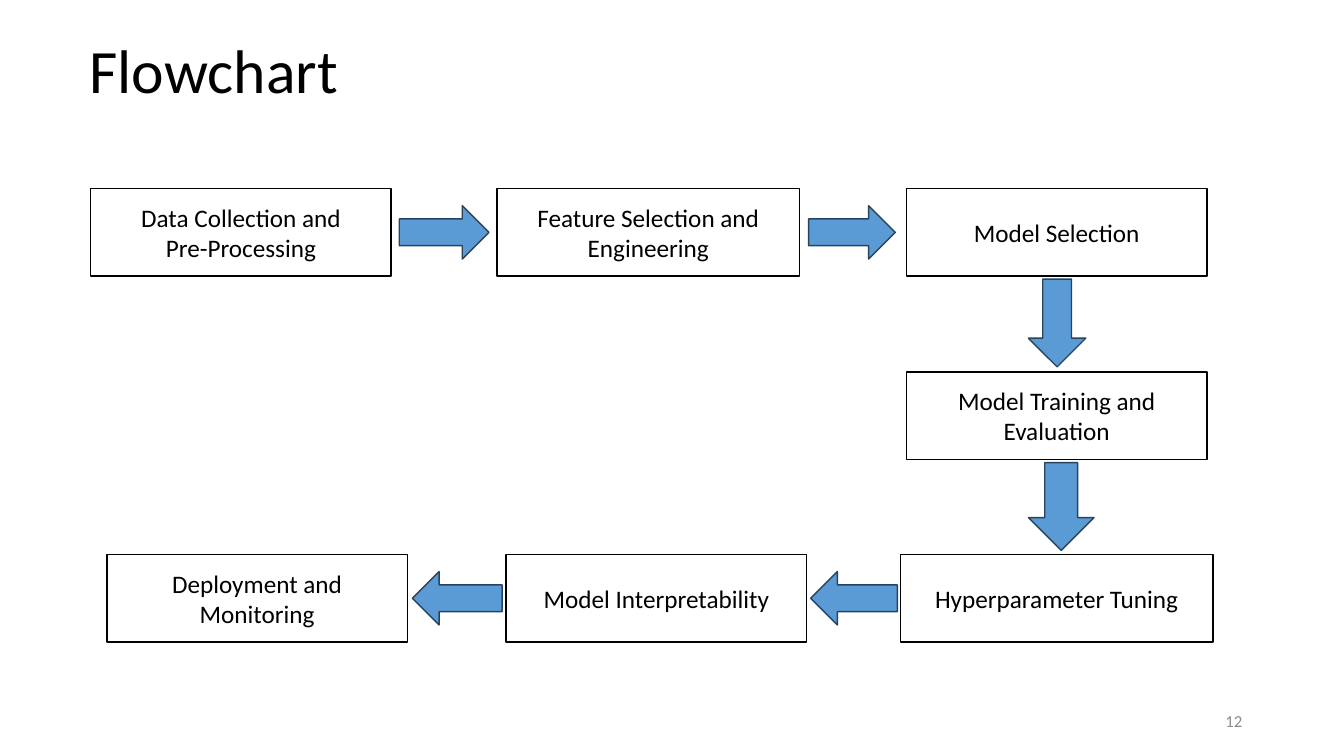
"""Build a slide with a flowchart of a machine learning workflow."""
from pptx import Presentation
from pptx.dml.color import RGBColor
from pptx.enum.shapes import MSO_SHAPE
from pptx.enum.text import MSO_ANCHOR, PP_ALIGN
from pptx.util import Inches, Pt

RECTANGLE = MSO_SHAPE.RECTANGLE
RIGHT_ARROW = MSO_SHAPE.RIGHT_ARROW
DOWN_ARROW = MSO_SHAPE.DOWN_ARROW
MIDDLE = MSO_ANCHOR.MIDDLE
LEFT, CENTER, RIGHT = PP_ALIGN.LEFT, PP_ALIGN.CENTER, PP_ALIGN.RIGHT

BLACK = RGBColor(0x00, 0x00, 0x00)
WHITE = RGBColor(0xFF, 0xFF, 0xFF)
GRAY = RGBColor(0x8C, 0x8C, 0x8C)
BLUE = RGBColor(0x5B, 0x9B, 0xD5)
DARK_BLUE = RGBColor(0x28, 0x44, 0x5D)

FONT = "Calibri"
STEP_HEIGHT = 0.87
ARROW_HEIGHT = 0.53
TOP_ROW, MIDDLE_ROW, BOTTOM_ROW = 1.87, 3.69, 5.5
ARROW_INSET = (STEP_HEIGHT - ARROW_HEIGHT) / 2


def write_text(shape, text, size, color, alignment):
    frame = shape.text_frame
    frame.word_wrap = True
    frame.vertical_anchor = MIDDLE
    frame.text = text
    for paragraph in frame.paragraphs:
        paragraph.alignment = alignment
        paragraph.font.name = FONT
        paragraph.font.size = Pt(size)
        paragraph.font.color.rgb = color


def add_block(kind, left, top, width, height, fill, line):
    shape = slide.shapes.add_shape(
        kind, Inches(left), Inches(top), Inches(width), Inches(height)
    )
    shape.shadow.inherit = False
    shape.fill.solid()
    shape.fill.fore_color.rgb = fill
    shape.line.color.rgb = line
    shape.line.width = Pt(1)
    return shape


presentation = Presentation()
presentation.slide_width = Inches(13.33)
presentation.slide_height = Inches(7.5)
slide = presentation.slides.add_slide(presentation.slide_layouts[6])

title = slide.shapes.add_textbox(Inches(0.79), Inches(0), Inches(11.5), Inches(1.45))
write_text(title, "Flowchart", 44, BLACK, LEFT)
title.text_frame.paragraphs[0].line_spacing = 0.9

page_number = slide.shapes.add_textbox(
    Inches(9.42), Inches(6.95), Inches(3), Inches(0.4)
)
write_text(page_number, "12", 12, GRAY, RIGHT)

steps = [
    ("Data Collection and\nPre-Processing", 0.9, TOP_ROW, 2.98),
    ("Feature Selection and Engineering", 4.93, TOP_ROW, 3),
    ("Model Selection", 8.99, TOP_ROW, 2.98),
    ("Model Training and Evaluation", 8.99, MIDDLE_ROW, 2.98),
    ("Hyperparameter Tuning", 8.93, BOTTOM_ROW, 3.1),
    ("Model Interpretability", 5.02, BOTTOM_ROW, 2.98),
    ("Deployment and Monitoring", 1.06, BOTTOM_ROW, 2.98),
]
for text, left, top, width in steps:
    step = add_block(RECTANGLE, left, top, width, STEP_HEIGHT, WHITE, BLACK)
    write_text(step, text, 18, BLACK, CENTER)

row_arrows = [
    (3.96, TOP_ROW, 0.89, 0),
    (8.02, TOP_ROW, 0.86, 0),
    (8.04, BOTTOM_ROW, 0.86, 180),
    (4.09, BOTTOM_ROW, 0.89, 180),
]
for left, row, width, rotation in row_arrows:
    arrow = add_block(
        RIGHT_ARROW, left, row + ARROW_INSET, width, ARROW_HEIGHT, BLUE, DARK_BLUE
    )
    arrow.rotation = rotation

for top, width in [(2.77, 0.57), (4.59, 0.65)]:
    add_block(DOWN_ARROW, 10.2, top, width, STEP_HEIGHT, BLUE, DARK_BLUE)

presentation.save("out.pptx")
